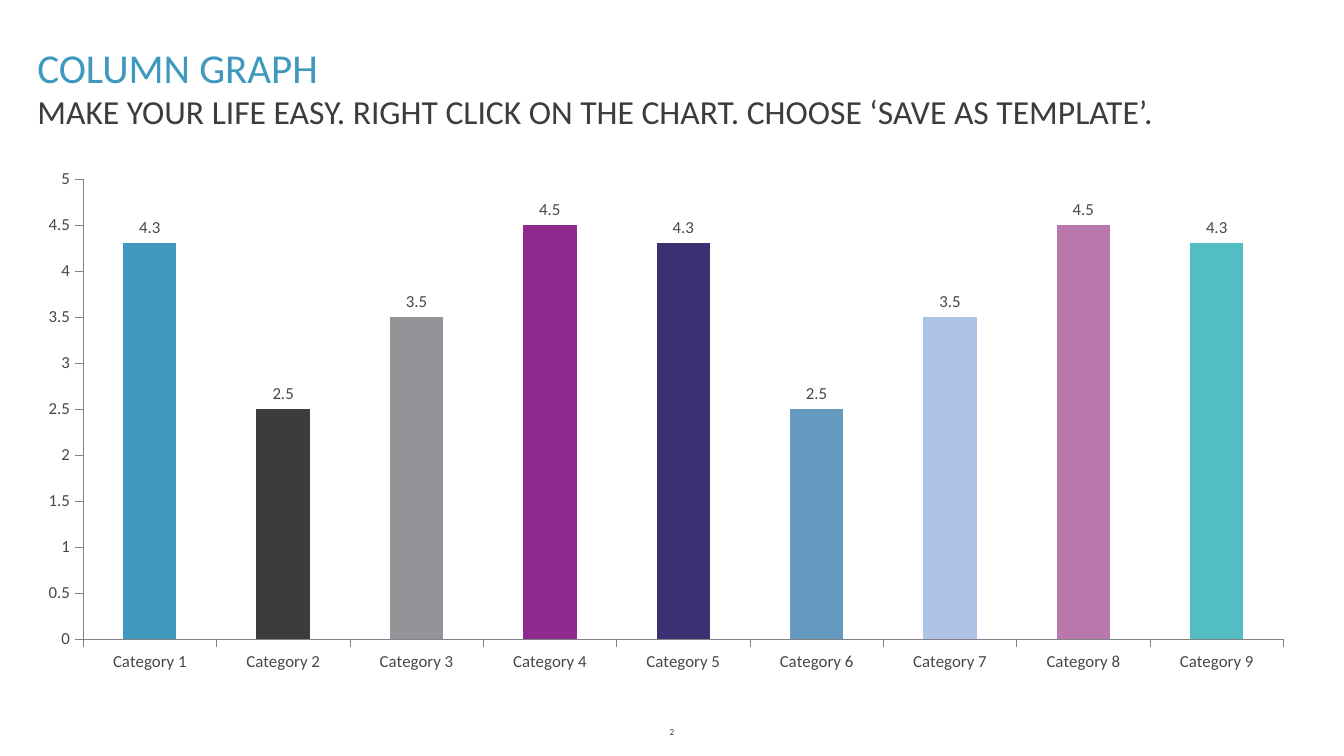
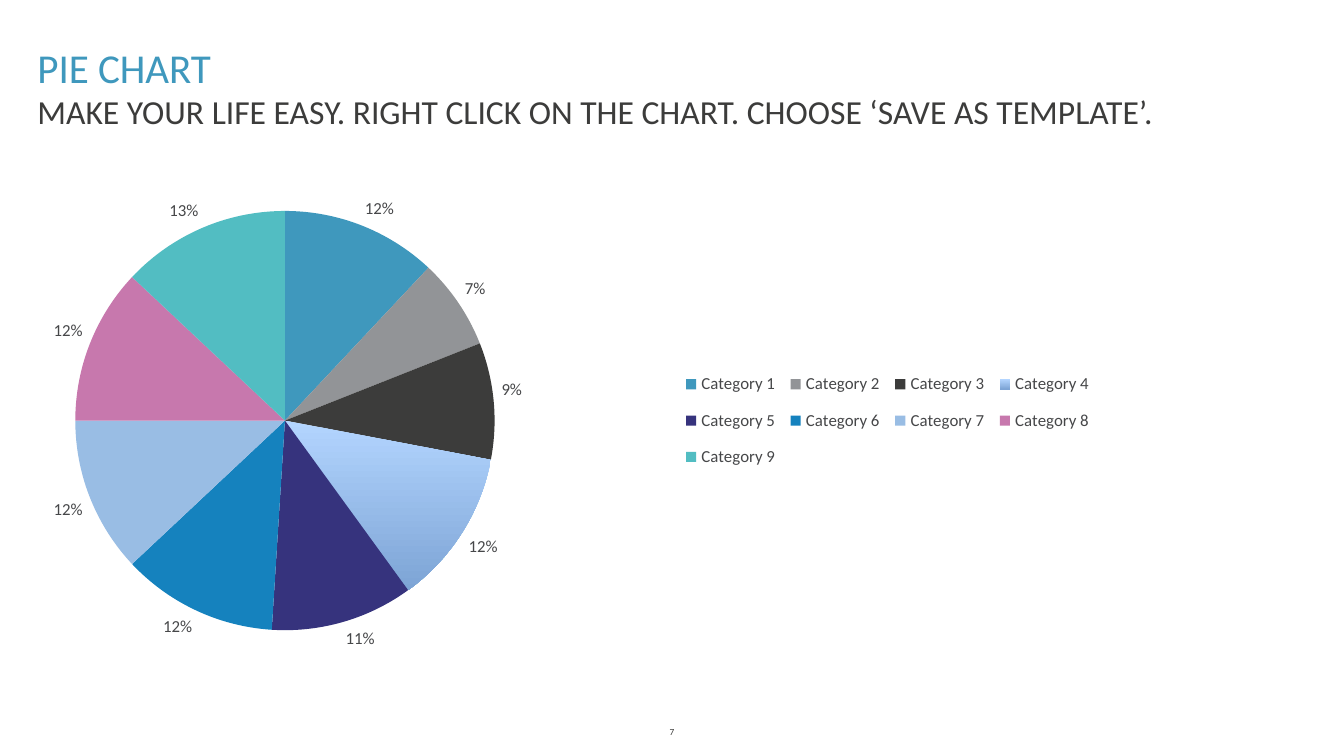
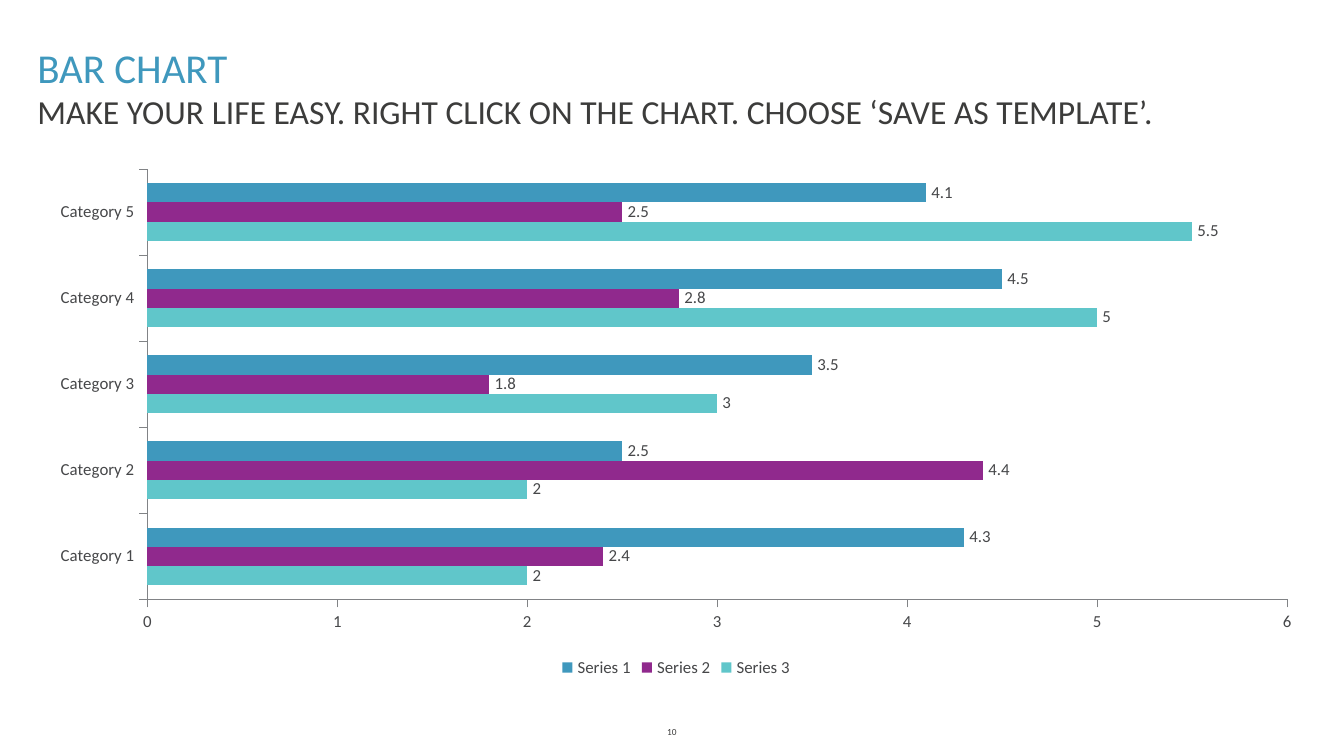
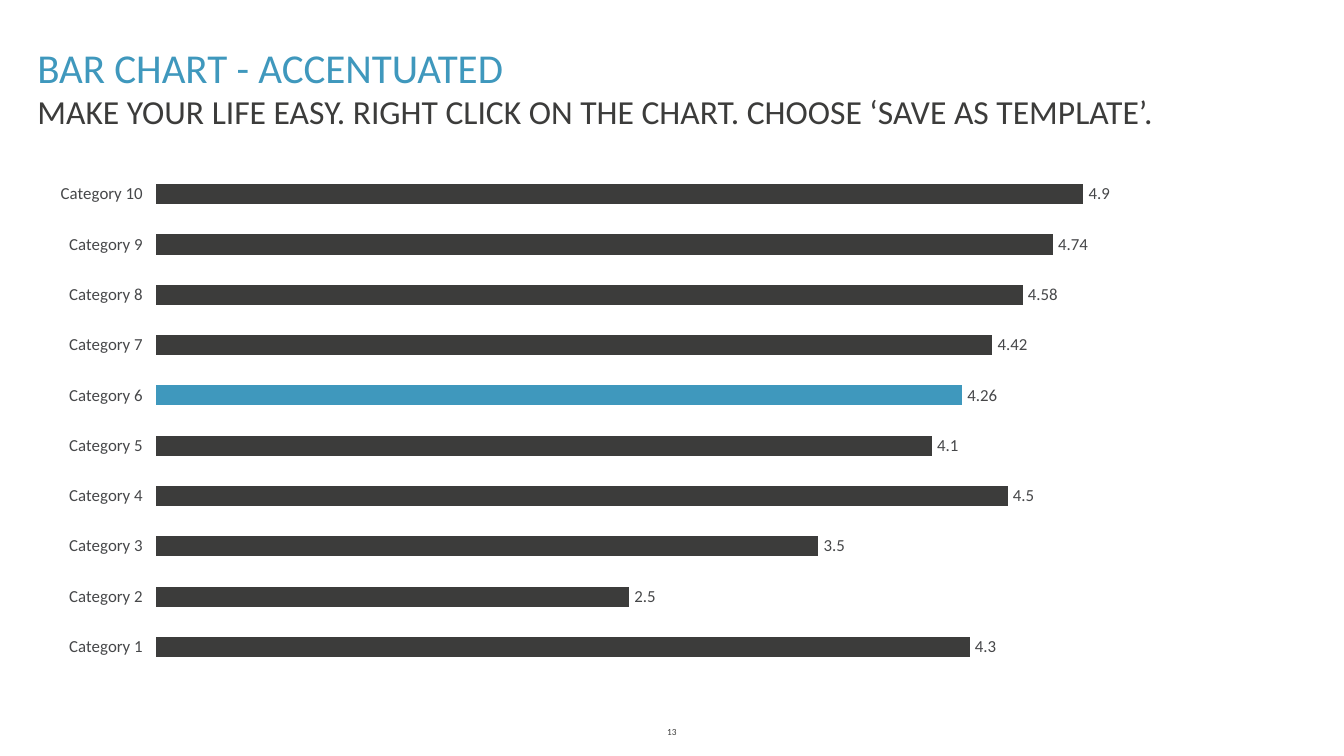
from dataclasses import dataclass

from lxml import etree
from pptx import Presentation
from pptx.chart.data import CategoryChartData
from pptx.dml.color import RGBColor
from pptx.enum.chart import (XL_CHART_TYPE, XL_LABEL_POSITION,
                             XL_LEGEND_POSITION, XL_TICK_MARK)
from pptx.enum.text import MSO_ANCHOR, PP_ALIGN
from pptx.oxml.ns import qn
from pptx.util import Inches, Pt

COLUMN = XL_CHART_TYPE.COLUMN_CLUSTERED
BAR = XL_CHART_TYPE.BAR_CLUSTERED
PIE = XL_CHART_TYPE.PIE
OUT_END = XL_LABEL_POSITION.OUTSIDE_END
RIGHT, BOTTOM = XL_LEGEND_POSITION.RIGHT, XL_LEGEND_POSITION.BOTTOM
TICK_OUT, TICK_NONE = XL_TICK_MARK.OUTSIDE, XL_TICK_MARK.NONE
TOP, MIDDLE, BASE = MSO_ANCHOR.TOP, MSO_ANCHOR.MIDDLE, MSO_ANCHOR.BOTTOM
LEFT, CENTER = PP_ALIGN.LEFT, PP_ALIGN.CENTER


@dataclass(frozen=True)
class Theme:
    font: str = "Calibri"
    blue: str = "3F98BD"
    dark: str = "3C3C3B"
    gray: str = "929497"
    plum: str = "90298D"
    teal: str = "52BDC2"
    aqua: str = "60C6CA"
    sky: str = "99BDE4"
    label: str = "464749"
    axis: str = "818386"
    title: float = 22
    lead: float = 18
    chart: float = 9
    foot: float = 5
    line: float = 0.25


THEME = Theme()
LEAD = "MAKE YOUR LIFE EASY. RIGHT CLICK ON THE CHART. CHOOSE ‘SAVE AS TEMPLATE’."
WIDE = (0.17, 1.18, 9.57, 3.9)
INSET = (0.26, 1.18, 9.54, 3.9)
COLUMN_HUES = [THEME.blue, THEME.dark, THEME.gray, THEME.plum, "393172",
               "6599BF", "AFC3E6", "B978AB", THEME.teal]
# A pair of colours is a gradient from top to bottom
PIE_HUES = [THEME.blue, THEME.gray, THEME.dark, ("B3D5FF", "7DA4D5"),
            "36337D", "1582BE", THEME.sky, "C778AD", THEME.teal]


def apply(item, values):
    for name, value in values.items():
        setattr(item, name, value)


def style(font, size, hue):
    apply(font, {"name": THEME.font, "size": Pt(size), "bold": False})
    font.color.rgb = RGBColor.from_string(hue)


def paint(fill, hue):
    if isinstance(hue, tuple):
        fill.gradient()
        fill.gradient_angle = 270
        for stop, tone in zip(fill.gradient_stops, hue):
            stop.color.rgb = RGBColor.from_string(tone)
    else:
        fill.solid()
        fill.fore_color.rgb = RGBColor.from_string(hue)


# Text shared by all slides
def add_text(slide, box, text, size, hue, anchor=TOP, align=LEFT):
    frame = slide.shapes.add_textbox(*map(Inches, box)).text_frame
    apply(frame, {"word_wrap": True, "vertical_anchor": anchor})
    para = frame.paragraphs[0]
    para.alignment = align
    run = para.add_run()
    run.text = text
    style(run.font, size, hue)


def add_page(deck, title, number):
    slide = deck.slides.add_slide(deck.slide_layouts[6])
    add_text(slide, (0.18, 0.26, 9.57, 0.47), title, THEME.title, THEME.blue, BASE)
    add_text(slide, (0.18, 0.63, 9.57, 0.4), LEAD, THEME.lead, THEME.dark)
    add_text(slide, (4.53, 5.35, 0.94, 0.19), str(number), THEME.foot,
             THEME.dark, MIDDLE, CENTER)
    return slide


# Chart parts
def add_chart(slide, kind, box, series):
    """Each series is a name, its values and its colour."""
    data = CategoryChartData()
    data.categories = [f"Category {i + 1}" for i in range(len(series[0][1]))]
    for name, values, _ in series:
        data.add_series(name, values)
    chart = slide.shapes.add_chart(kind, *map(Inches, box), data).chart
    apply(chart, {"has_title": False, "has_legend": False})
    style(chart.font, THEME.chart, THEME.label)
    plot = chart.plots[0]
    pie = kind == PIE
    apply(plot, {"vary_by_categories": pie, "has_data_labels": True})
    apply(plot.data_labels, {
        "show_value": not pie, "show_percentage": pie, "position": OUT_END,
        "number_format": "0%" if pie else "General",
        "number_format_is_linked": False})
    if not pie:
        apply(plot, {"gap_width": 150, "overlap": 0})
        for item, (_, _, hue) in zip(plot.series, series):
            paint(item.format.fill, hue)
            item.invert_if_negative = False
    return chart


def tint(chart, hues):
    points = chart.plots[0].series[0].points
    for index, hue in hues.items():
        paint(points[index].format.fill, hue)


def set_axes(chart, top, step, lines=True):
    apply(chart.value_axis, {"minimum_scale": 0, "maximum_scale": top,
                             "major_unit": step, "visible": lines})
    for axis in (chart.category_axis, chart.value_axis):
        apply(axis, {"has_major_gridlines": False, "minor_tick_mark": TICK_NONE,
                     "major_tick_mark": TICK_OUT})
        line = axis.format.line
        if lines:
            line.width = Pt(THEME.line)
            line.color.rgb = RGBColor.from_string(THEME.axis)
        else:
            line.fill.background()


def add_legend(chart, place):
    chart.has_legend = True
    apply(chart.legend, {"position": place, "include_in_layout": False})
    style(chart.legend.font, THEME.chart, THEME.label)


def set_layout(parent, index, box, inner=False):
    """Place a chart part by fractions of the chart area."""
    for old in parent.findall(qn("c:layout")):
        parent.remove(old)
    layout = etree.Element(qn("c:layout"))
    manual = etree.SubElement(layout, qn("c:manualLayout"))
    parts = [("layoutTarget", "inner")] if inner else []
    parts += [("xMode", "edge"), ("yMode", "edge"), *zip("xywh", box)]
    for tag, value in parts:
        etree.SubElement(manual, qn(f"c:{tag}")).set("val", str(value))
    parent.insert(index, layout)


# Slides
def add_columns(deck):
    slide = add_page(deck, "COLUMN GRAPH", 2)
    values = [4.3, 2.5, 3.5, 4.5, 4.3, 2.5, 3.5, 4.5, 4.3]
    chart = add_chart(slide, COLUMN, WIDE, [("Series 1", values, THEME.plum)])
    tint(chart, dict(enumerate(COLUMN_HUES)))
    set_axes(chart, 5, 0.5)


def add_pie(deck):
    slide = add_page(deck, "PIE CHART", 7)
    values = [12, 7, 9, 12, 11, 12, 12, 12, 13]
    chart = add_chart(slide, PIE, INSET, [("Series 1", values, None)])
    tint(chart, dict(enumerate(PIE_HUES)))
    add_legend(chart, RIGHT)
    area = chart.plots[0]._element.getparent()
    set_layout(area, 0, (0.03, 0.1, 0.33, 0.8), inner=True)
    set_layout(chart.legend._element, 1, (0.5, 0.38, 0.33, 0.24))


def add_bars(deck):
    slide = add_page(deck, "BAR CHART", 10)
    chart = add_chart(slide, BAR, INSET, [
        ("Series 3", [2, 2, 3, 5, 5.5], THEME.aqua),
        ("Series 2", [2.4, 4.4, 1.8, 2.8, 2.5], THEME.plum),
        ("Series 1", [4.3, 2.5, 3.5, 4.5, 4.1], THEME.blue)])
    set_axes(chart, 6, 1)
    add_legend(chart, BOTTOM)


def add_accent(deck):
    slide = add_page(deck, "BAR CHART - ACCENTUATED", 13)
    values = [4.3, 2.5, 3.5, 4.5, 4.1, 4.26, 4.42, 4.58, 4.74, 4.9]
    chart = add_chart(slide, BAR, INSET, [("Series 1", values, THEME.dark)])
    tint(chart, {5: THEME.blue})
    set_axes(chart, 6, 1, lines=False)


def main():
    deck = Presentation()
    deck.slide_width = Inches(10)
    deck.slide_height = deck.slide_width * 9 // 16
    for build in (add_columns, add_pie, add_bars, add_accent):
        build(deck)
    deck.save("out.pptx")


if __name__ == "__main__":
    main()
